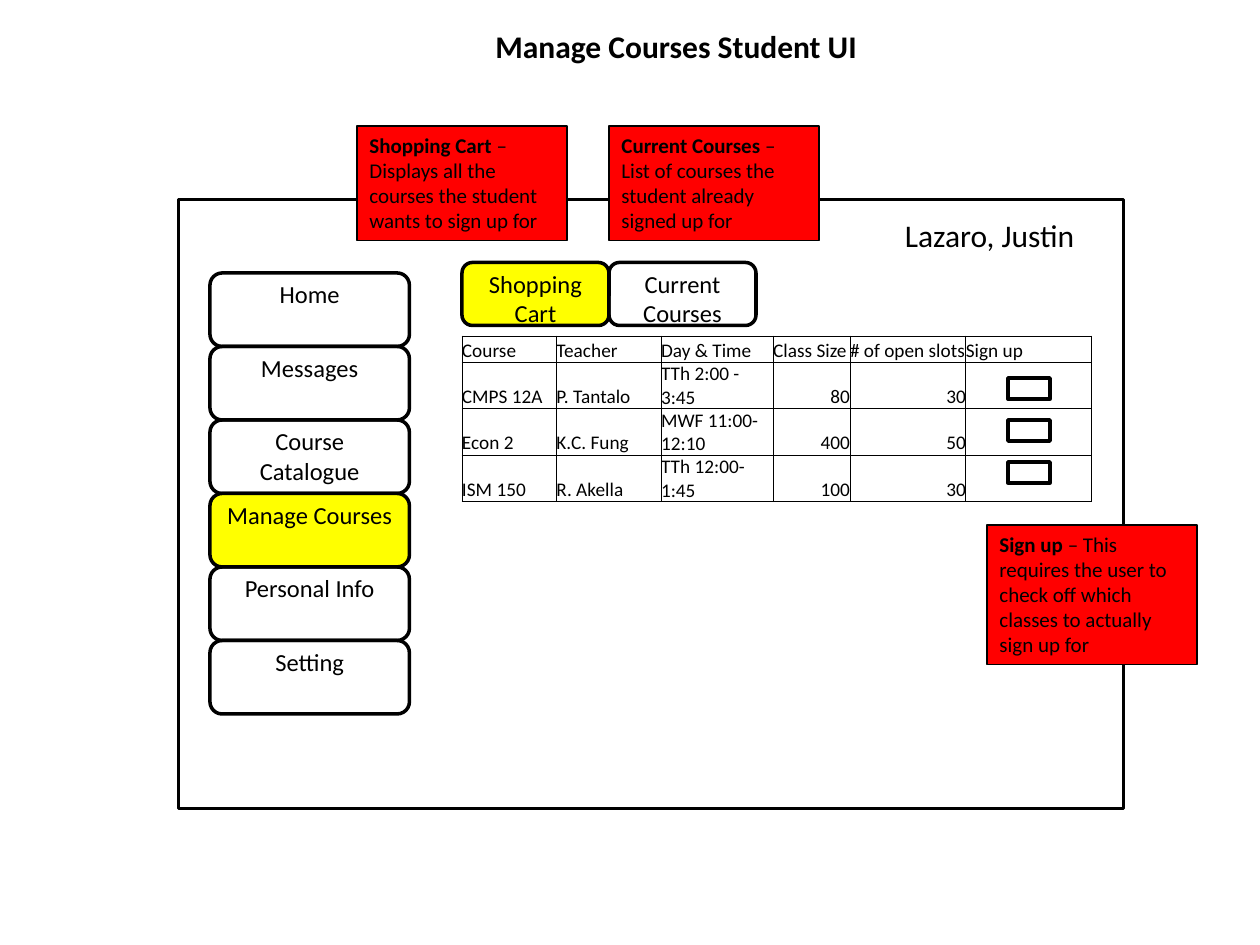
import pptx
import pptx.util
import pptx.dml.color
import pptx.enum.shapes
import pptx.enum.text
import pptx.oxml
import pptx.oxml.ns

COLORS = {"ink": "000000", "active": "FFFF00", "note": "FF0000"}
FONT = "Calibri"
COLUMNS, ROWS = 120, 90  # grid of twelfths of an inch
UNIT = pptx.util.Inches(10) / COLUMNS
SHAPE = pptx.enum.shapes.MSO_SHAPE
ALIGN = pptx.enum.text.PP_ALIGN

MENU = ["Home", "Messages", "Course Catalogue", "Manage Courses",
        "Personal Info", "Setting"]
TABS = ["Shopping Cart", "Current Courses"]
ACTIVE = {"Manage Courses", "Shopping Cart"}
COURSES = [
    ["Course", "Teacher", "Day & Time", "Class Size", "# of open slots", "Sign up"],
    ["CMPS 12A", "P. Tantalo", "TTh 2:00 - 3:45", "80", "30", ""],
    ["Econ 2", "K.C. Fung", "MWF 11:00-12:10", "400", "50", ""],
    ["ISM 150", "R. Akella", "TTh 12:00-1:45", "100", "30", ""],
]
COURSE_WIDTHS = [0.75, 0.83, 0.89, 0.61, 0.92, 1]
NOTES = [
    (34, 12, 10.9, "Shopping Cart ",
     "– Displays all the courses the student wants to sign up for"),
    (58, 12, 10.9, "Current Courses ",
     "– List of courses the student already signed up for "),
    (94, 50, 13.3, "Sign up ",
     "– This requires the user to check off which classes to actually sign up for"),
]


def grid(*counts):
    return [round(count * UNIT) for count in counts]


def color(name):
    return pptx.dml.color.RGBColor.from_string(COLORS[name])


def style_span(span, size, bold=False):
    span.font.name = FONT
    span.font.size = pptx.util.Pt(size)
    span.font.bold = bold
    span.font.color.rgb = color("ink")


def add_box(page, kind, place, fill=None, line=2):
    box = page.shapes.add_shape(kind, *grid(*place))
    box.shadow.inherit = False
    if fill:
        box.fill.solid()
        box.fill.fore_color.rgb = color(fill)
    else:
        box.fill.background()
    box.line.color.rgb = color("ink")
    box.line.width = pptx.util.Pt(line)
    return box


def add_label(page, text, place, size, align=ALIGN.LEFT, bold=False, wrap=True):
    box = page.shapes.add_textbox(*grid(*place))
    box.text_frame.word_wrap = wrap
    para = box.text_frame.paragraphs[0]
    para.text = text
    para.alignment = align
    style_span(para.runs[0], size, bold)


def add_button(page, text, left, top, width, height, label_height, inset=0):
    add_box(page, SHAPE.ROUNDED_RECTANGLE, (left, top, width, height),
            "active" if text in ACTIVE else None)
    add_label(page, text, (left + inset, top, width - 2 * inset, label_height),
              14, ALIGN.CENTER)


def add_note(page, left, top, height, heading, text):
    box = add_box(page, SHAPE.RECTANGLE, (left, top, 20, height), "note", 0.75)
    frame = box.text_frame
    frame.word_wrap = True
    frame.vertical_anchor = pptx.enum.text.MSO_ANCHOR.TOP
    para = frame.paragraphs[0]
    para.alignment = ALIGN.LEFT
    for part, bold in ((heading, True), (text, False)):
        span = para.add_run()
        span.text = part
        style_span(span, 12, bold)


def add_borders(cell):
    properties = cell._tc.get_or_add_tcPr()
    for position, side in enumerate(("lnL", "lnR", "lnT", "lnB")):
        border = pptx.oxml.parse_xml(
            f'<a:{side} {pptx.oxml.ns.nsdecls("a")} w="6350"><a:solidFill>'
            f'<a:srgbClr val="{COLORS["ink"]}"/></a:solidFill></a:{side}>')
        properties.insert(position, border)


def add_courses(page, left, top):
    frame = page.shapes.add_table(len(COURSES), len(COURSE_WIDTHS),
                                  *grid(left, top, 60, 10))
    table = frame.table
    table.first_row = table.horz_banding = False
    for column, width in zip(table.columns, COURSE_WIDTHS):
        column.width = pptx.util.Inches(width)
    for row, values in zip(table.rows, COURSES):
        row.height = pptx.util.Inches(0.21)
        for cell, value in zip(row.cells, values):
            cell.margin_left = cell.margin_right = 0
            cell.margin_top = cell.margin_bottom = 0
            cell.vertical_anchor = pptx.enum.text.MSO_ANCHOR.BOTTOM
            cell.fill.background()
            add_borders(cell)
            para = cell.text_frame.paragraphs[0]
            para.text = value
            para.font.size = pptx.util.Pt(11)
            if value.isdigit():
                para.alignment = ALIGN.RIGHT
            for span in para.runs:
                style_span(span, 11)


def main():
    deck = pptx.Presentation()
    deck.slide_width, deck.slide_height = grid(COLUMNS, ROWS)
    page = deck.slides.add_slide(deck.slide_layouts[6])

    # Window frame and menu
    add_box(page, SHAPE.RECTANGLE, (17, 19, 90, 58))
    for index, text in enumerate(MENU):
        two_lines = text == "Course Catalogue"
        add_button(page, text, 20, 26 + 7 * index, 19, 7,
                   6.9 if two_lines else 4.1, 1 if two_lines else 0)

    # User name and tabs
    add_label(page, "Lazaro, Justin", (85, 20, 18.7, 4.8), 18, wrap=False)
    for index, text in enumerate(TABS):
        add_button(page, text, 44 + 14 * index, 25, 14, 6, 6.9)

    # Course table with check boxes
    add_courses(page, 44, 32)
    for index in range(len(COURSES) - 1):
        add_box(page, SHAPE.RECTANGLE, (96, 36 + 4 * index, 4, 2))

    # Notes and title
    for note in NOTES:
        add_note(page, *note)
    add_label(page, "Manage Courses Student UI", (46, 2, 37.1, 4.8), 18,
              bold=True, wrap=False)
    deck.save("out.pptx")


main()
